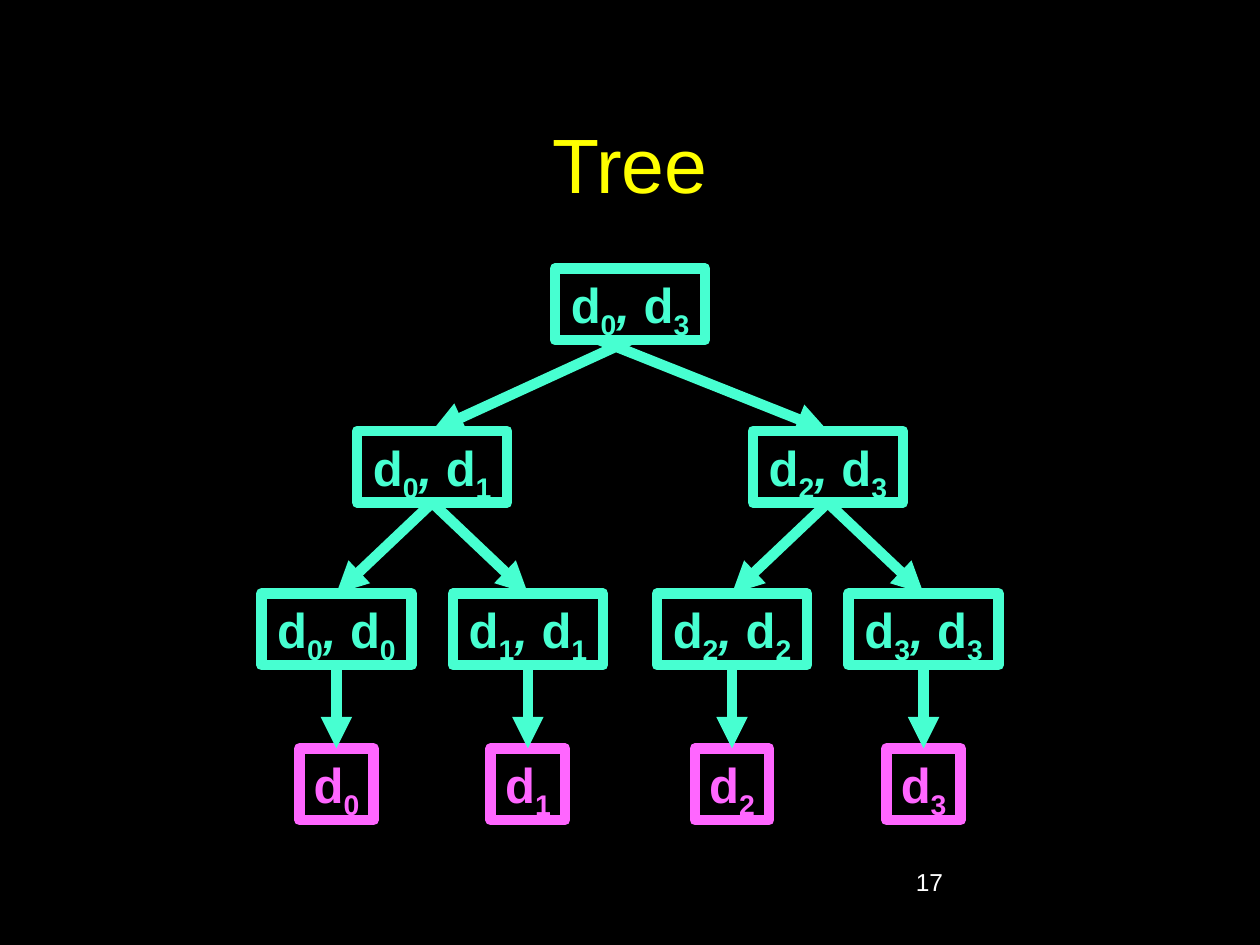
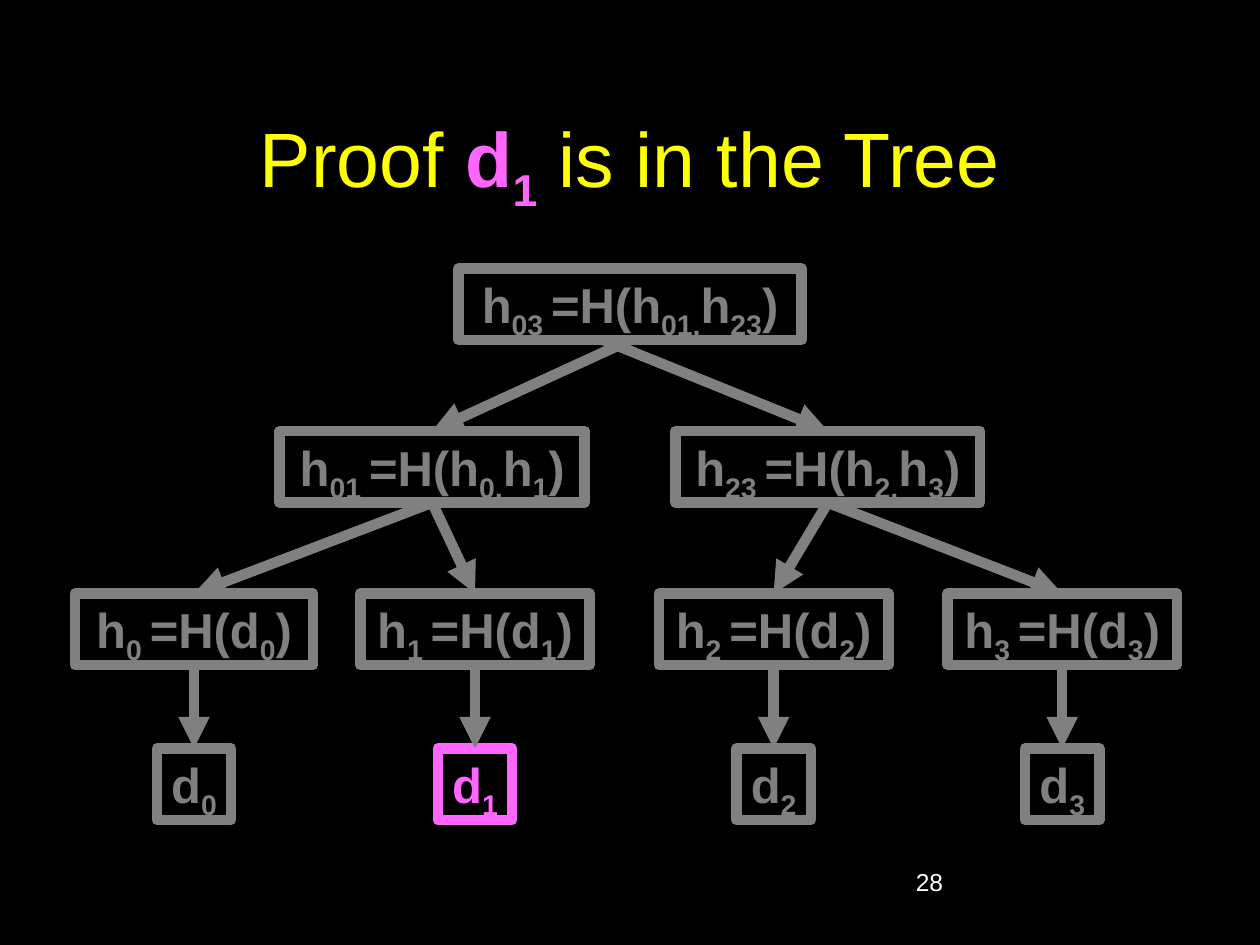
from lxml.etree import SubElement
from pptx import Presentation
from pptx.dml.color import RGBColor
from pptx.enum.shapes import MSO_CONNECTOR, MSO_SHAPE
from pptx.enum.text import MSO_ANCHOR, MSO_AUTO_SIZE, PP_ALIGN
from pptx.oxml.ns import qn
from pptx.util import Inches, Pt

FONT = "Arial"
BLACK, WHITE, YELLOW = "000000", "FFFFFF", "FFFF00"
TEAL, PINK, GRAY = "47FFD1", "FF66FF", "808080"
ROOT_Y, BRANCH_Y, LEAF_Y, DATA_Y = 2.13, 3.42, 4.71, 5.94
BOX_H, DATA_W = 0.57, 0.59
ROOT_X, BRANCH_XS = 5, (3.43, 6.57)
LINE_PT = 6


def rgb(value):
    return RGBColor.from_string(value)


class TreeDeck:
    """Draws titled slides holding a four-leaf binary tree."""

    def __init__(self):
        self.prs = Presentation()
        self.prs.slide_width, self.prs.slide_height = Inches(10), Inches(7.5)
        fill = self.prs.slide_master.background.fill
        fill.solid()
        fill.fore_color.rgb = rgb(BLACK)

    def runs(self, p, markup, size, color, bold=False):
        for piece in markup.split("|"):
            r = p.add_run()
            r.text = piece.lstrip("_/")
            r.font.name, r.font.size = FONT, Pt(size)
            r.font.bold, r.font.italic = bold, piece.startswith("/")
            r.font.color.rgb = rgb(color)
            if piece.startswith("_"):
                r._r.get_or_add_rPr().set("baseline", "-25000")

    def new_slide(self, title, number):
        self.s = self.prs.slides.add_slide(self.prs.slide_layouts[5])
        sp = self.s.shapes.title
        sp.left, sp.top = Inches(0.75), Inches(0.67)
        sp.width, sp.height = Inches(8.5), Inches(1.25)
        tf = sp.text_frame
        tf.vertical_anchor, tf.auto_size = MSO_ANCHOR.MIDDLE, MSO_AUTO_SIZE.NONE
        p = tf.paragraphs[0]
        p.alignment = PP_ALIGN.CENTER
        for markup, color, bold in title:
            self.runs(p, markup, 44, color, bold)
        tb = self.s.shapes.add_textbox(Inches(7.17), Inches(6.83), Inches(2.08), Inches(0.5))
        tb.text_frame.word_wrap = True
        self.runs(tb.text_frame.paragraphs[0], number, 14, WHITE)

    def box(self, x, y, w, markup, color):
        sp = self.s.shapes.add_shape(
            MSO_SHAPE.RECTANGLE, Inches(x - w / 2), Inches(y), Inches(w), Inches(BOX_H))
        sp.shadow.inherit = False
        sp.fill.solid()
        sp.fill.fore_color.rgb = rgb(BLACK)
        sp.line.color.rgb, sp.line.width = rgb(color), Pt(LINE_PT)
        tf = sp.text_frame
        tf.word_wrap, tf.auto_size = False, MSO_AUTO_SIZE.SHAPE_TO_FIT_TEXT
        tf.vertical_anchor = MSO_ANCHOR.TOP
        p = tf.paragraphs[0]
        p.alignment = PP_ALIGN.CENTER
        self.runs(p, markup, 28, color, True)

    def arrow(self, x1, upper_y, x2, lower_y, color):
        line = self.s.shapes.add_connector(
            MSO_CONNECTOR.STRAIGHT, Inches(x1), Inches(upper_y + BOX_H),
            Inches(x2), Inches(lower_y))
        line.line.color.rgb, line.line.width = rgb(color), Pt(LINE_PT)
        SubElement(line.line._get_or_add_ln(), qn("a:tailEnd"), type="triangle")
        SubElement(line._element.spPr, qn("a:effectLst"))

    def tree(self, color, root, branches, leaves, data_colors, right_start):
        root_w, root_text = root
        branch_w, branch_texts = branches
        self.box(ROOT_X, ROOT_Y, root_w, root_text, color)
        for i, (x, w, text) in enumerate(leaves):
            self.box(x, LEAF_Y, w, text, color)
            self.box(x, DATA_Y, DATA_W, f"d|_{i}", data_colors[i])
            self.arrow(x, LEAF_Y, x, DATA_Y, color)
            self.arrow(BRANCH_XS[i // 2], BRANCH_Y, x, LEAF_Y, color)
        for start, x in zip((ROOT_X, right_start), BRANCH_XS):
            self.arrow(start, ROOT_Y, x, BRANCH_Y, color)
        for x, text in zip(BRANCH_XS, branch_texts):
            self.box(x, BRANCH_Y, branch_w, text, color)


def span(first, last):
    return f"d|_{first}|/, |d|_{last}"


def pair_hash(name, left, right):
    return f"h|_{name} |=H(h|_{left},|h|_{right}|)"


def main():
    deck = TreeDeck()

    range_w = 1.19
    deck.new_slide([("Tree", YELLOW, False)], "17")
    deck.tree(
        TEAL, (range_w, span(0, 3)), (range_w, [span(0, 1), span(2, 3)]),
        [(x, range_w, span(i, i)) for i, x in enumerate((2.67, 4.19, 5.81, 7.33))],
        [PINK] * 4, 4.76)

    deck.new_slide(
        [("Proof ", YELLOW, False), ("d|_1", PINK, True), (" is in the Tree", YELLOW, False)],
        "28")
    hash_places = ((1.54, 1.89), (3.77, 1.82), (6.14, 1.82), (8.43, 1.82))
    deck.tree(
        GRAY, (2.72, pair_hash("03", "01", "23")),
        (2.42, [pair_hash("01", 0, 1), pair_hash("23", 2, 3)]),
        [(x, w, f"h|_{i} |=H(d|_{i}|)") for i, (x, w) in enumerate(hash_places)],
        [GRAY, PINK, GRAY, GRAY], 4.79)

    deck.prs.save("out.pptx")


if __name__ == "__main__":
    main()
